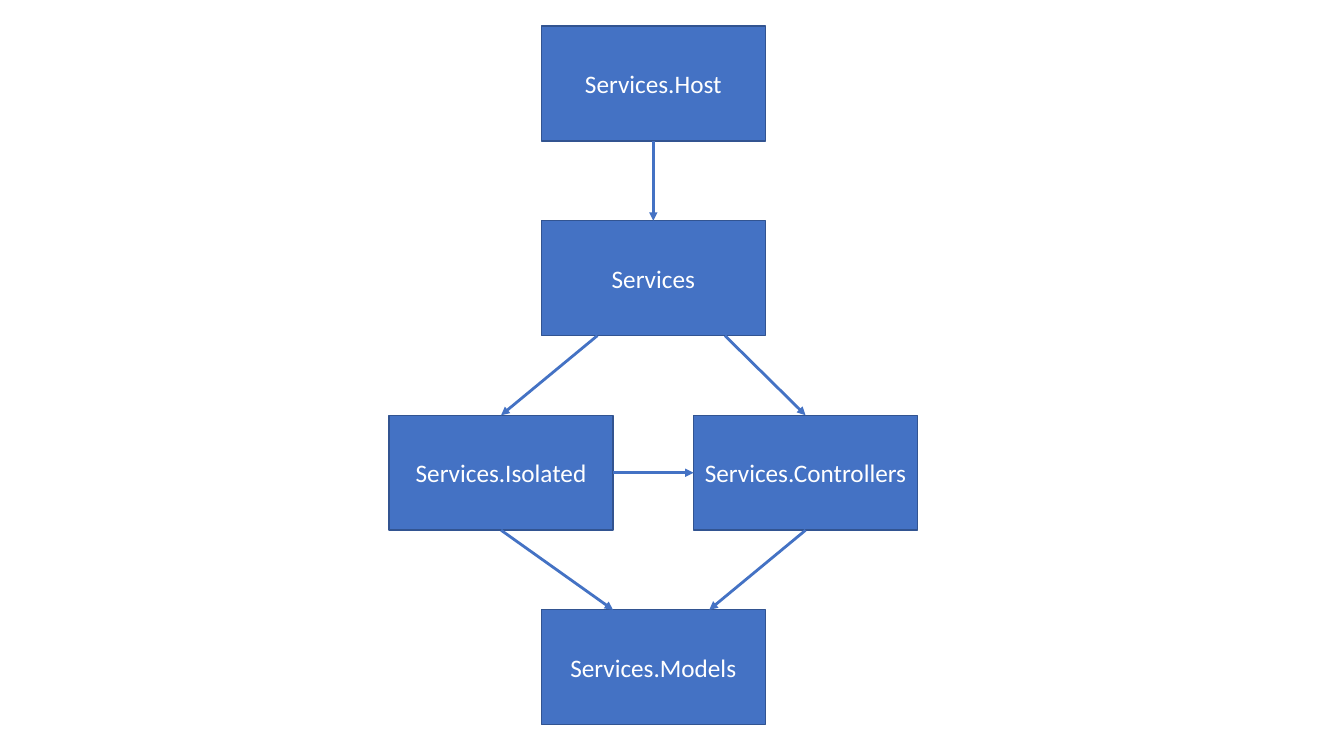
from lxml import etree
from pptx import Presentation
from pptx import util as u
from pptx.dml.color import RGBColor
from pptx.enum import shapes, text
from pptx.oxml import ns

BLUE = RGBColor(0x44, 0x72, 0xC4)
DARK_BLUE = RGBColor(0x32, 0x54, 0x91)
WHITE = RGBColor(0xFF, 0xFF, 0xFF)

BOX_WIDTH, BOX_HEIGHT = 2.22, 1.14
COLUMN_STEP, ROW_STEP = 1.51, 1.93
TOP, LEFT, BOTTOM, RIGHT = range(4)
SIDE_MIDDLES = {TOP: (0.5, 0), LEFT: (0, 0.5), BOTTOM: (0.5, 1), RIGHT: (1, 0.5)}

MODULES = {
    "Services.Host": (1, 0),
    "Services": (1, 1),
    "Services.Controllers": (2, 2),
    "Services.Isolated": (0, 2),
    "Services.Models": (1, 3),
}
# Each end is a module and either a side or a (horizontal, vertical) share of its box.
DEPENDENCIES = [
    (("Services.Host", BOTTOM), ("Services", TOP)),
    (("Services", (0.82, 1)), ("Services.Controllers", TOP)),
    (("Services", (0.25, 1)), ("Services.Isolated", TOP)),
    (("Services.Isolated", RIGHT), ("Services.Controllers", LEFT)),
    (("Services.Isolated", BOTTOM), ("Services.Models", (0.32, 0))),
    (("Services.Controllers", BOTTOM), ("Services.Models", (0.75, 0))),
]


def add_module(slide, name, left, top):
    """Draw one labelled module box and return it."""
    shape = slide.shapes.add_shape(
        shapes.MSO_SHAPE.RECTANGLE,
        u.Inches(left), u.Inches(top), u.Inches(BOX_WIDTH), u.Inches(BOX_HEIGHT))
    shape.shadow.inherit = False
    shape.fill.solid()
    shape.fill.fore_color.rgb = BLUE
    shape.line.color.rgb = DARK_BLUE
    shape.line.width = u.Pt(1)
    frame = shape.text_frame
    frame.word_wrap = True
    frame.vertical_anchor = text.MSO_ANCHOR.MIDDLE
    paragraph = frame.paragraphs[0]
    paragraph.text = name
    paragraph.alignment = text.PP_ALIGN.CENTER
    paragraph.font.name = "Calibri"
    paragraph.font.size = u.Pt(18)
    paragraph.font.color.rgb = WHITE
    return shape


def locate(shape, place):
    """Return the point at a side's middle or at a share of the shape."""
    across, down = SIDE_MIDDLES.get(place, place)
    return (round(shape.left + across * shape.width),
            round(shape.top + down * shape.height))


def add_dependency(slide, source, source_place, target, target_place):
    """Draw an arrow between two modules, joined wherever it meets a side's middle."""
    connector = slide.shapes.add_connector(
        shapes.MSO_CONNECTOR.STRAIGHT,
        *locate(source, source_place), *locate(target, target_place))
    if source_place in SIDE_MIDDLES:
        connector.begin_connect(source, source_place)
    if target_place in SIDE_MIDDLES:
        connector.end_connect(target, target_place)
    connector.line.color.rgb = BLUE
    connector.line.width = u.Pt(2)
    properties = connector.element.spPr
    etree.SubElement(properties.find(ns.qn("a:ln")), ns.qn("a:tailEnd"), type="triangle")
    etree.SubElement(properties, ns.qn("a:effectLst"))


def add_diagram(slide, left, top):
    """Place the modules on a grid and link their dependencies."""
    boxes = {
        name: add_module(slide, name, left + column * COLUMN_STEP, top + row * ROW_STEP)
        for name, (column, row) in MODULES.items()
    }
    for (source, source_place), (target, target_place) in DEPENDENCIES:
        add_dependency(slide, boxes[source], source_place, boxes[target], target_place)


def main():
    """Build the slide and save it."""
    presentation = Presentation()
    presentation.slide_width = u.Inches(13.33)
    presentation.slide_height = u.Inches(7.5)
    slide = presentation.slides.add_slide(presentation.slide_layouts[6])
    add_diagram(slide, 3.86, 0.26)
    presentation.save("out.pptx")


if __name__ == "__main__":
    main()
